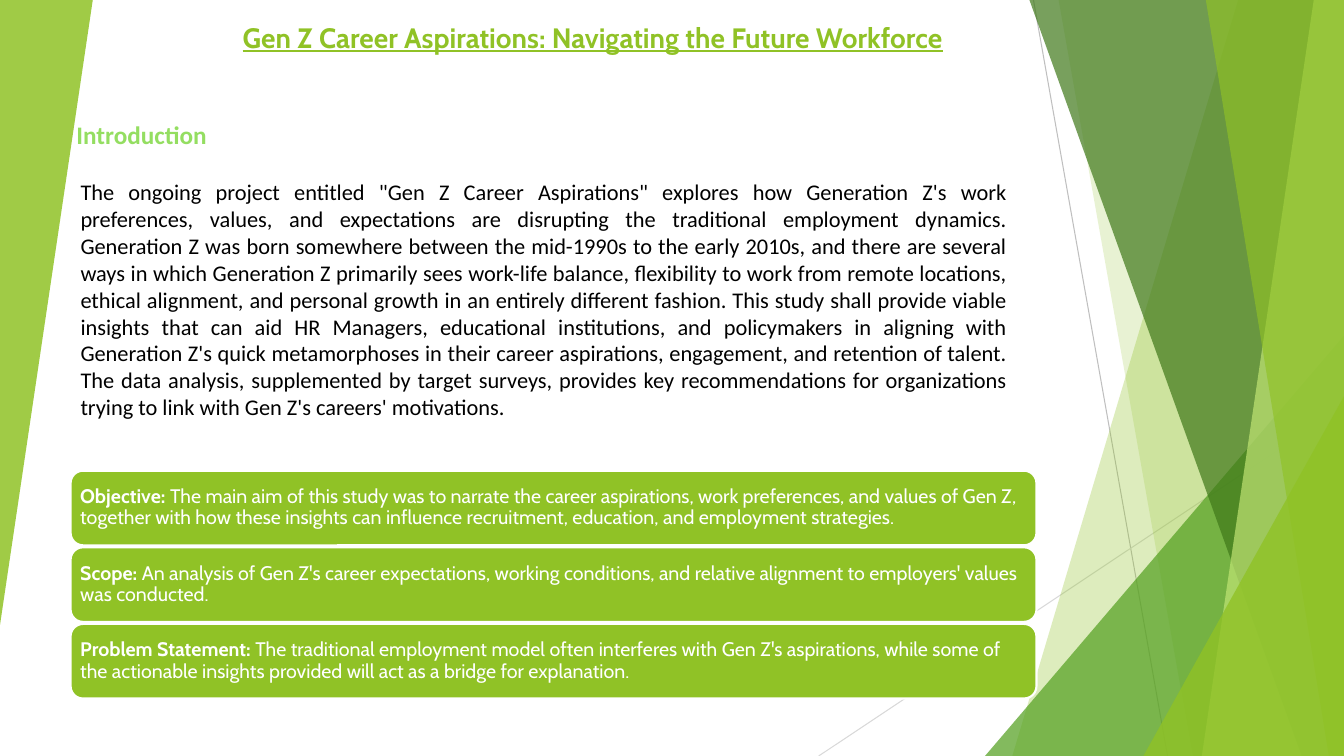
from lxml import etree
from pptx import Presentation
from pptx.dml.color import RGBColor
from pptx.enum.shapes import MSO_CONNECTOR, MSO_SHAPE
from pptx.enum.text import MSO_ANCHOR, MSO_AUTO_SIZE, PP_ALIGN
from pptx.oxml.ns import qn
from pptx.util import Inches, Pt

LINE = MSO_CONNECTOR.STRAIGHT
TRIANGLE, ROUNDED = MSO_SHAPE.ISOSCELES_TRIANGLE, MSO_SHAPE.ROUNDED_RECTANGLE
TOP, MIDDLE = MSO_ANCHOR.TOP, MSO_ANCHOR.MIDDLE
LEFT, RIGHT, JUSTIFY = PP_ALIGN.LEFT, PP_ALIGN.RIGHT, PP_ALIGN.JUSTIFY
FIXED = MSO_AUTO_SIZE.NONE

WHITE = RGBColor(0xFF, 0xFF, 0xFF)
BLACK = RGBColor(0, 0, 0)
LIME = RGBColor(0x90, 0xC2, 0x26)
GREEN = RGBColor(0x54, 0xA0, 0x21)
FOREST = RGBColor(0x3F, 0x78, 0x19)
PALE = RGBColor(0xC0, 0xE4, 0x74)
MINT = RGBColor(0x94, 0xDE, 0x61)
GRAY = RGBColor(0xBF, 0xBF, 0xBF)
SILVER = RGBColor(0xD9, 0xD9, 0xD9)

WIDE, HIGH = 13.33, 7.5


def paint(shape, color, alpha=100):
    shape.shadow.inherit = False
    shape.line.fill.background()
    shape.fill.solid()
    shape.fill.fore_color.rgb = color
    if alpha < 100:
        tint = shape.fill._xPr.find(".//" + qn("a:srgbClr"))
        etree.SubElement(tint, qn("a:alpha"), val=str(alpha * 1000))


def write(shape, runs, align, color, **style):
    frame = shape.text_frame
    frame.word_wrap = True
    frame.auto_size = FIXED
    para = frame.paragraphs[0]
    para.alignment = align
    for text, bold in runs:
        run = para.add_run()
        run.text = text
        run.font.color.rgb = color
        for key, value in {"bold": bold, **style}.items():
            setattr(run.font, key, value)
    return frame


deck = Presentation()
deck.slide_width, deck.slide_height = Inches(WIDE), Inches(HIGH)
slide = deck.slides.add_slide(deck.slide_layouts[5])
shapes = slide.shapes

# Thin lines behind the facets
for x1, y1, x2, y2, color in [
    (10.25, 0, 11.58, HIGH, GRAY),
    (WIDE, 4.03, 8.12, HIGH, SILVER),
]:
    ray = shapes.add_connector(LINE, Inches(x1), Inches(y1), Inches(x2), Inches(y2))
    ray.line.color.rgb = color
    ray.line.width = Pt(0.75)
    etree.SubElement(ray._element.spPr, qn("a:effectLst"))

# Facets from back to front: bands slant from head to foot and reach the right
# edge; triangles have a box and a turn
for form, color, alpha in [
    ((12.28, 10.04), LIME, 30),
    ((10.5, 11.83), LIME, 20),
    ((9.77, 3.33, 3.56, 4.17, 0), GREEN, 72),
    ((10.21, 12.91), FOREST, 70),
    ((13.03, 11.92), PALE, 70),
    ((11.96, 13.18), LIME, 65),
    ((11.34, 3.93, 1.99, 3.57, 0), LIME, 80),
    ((0, 0, 0.92, 6.2, 180), LIME, 85),
]:
    if len(form) == 2:
        head, foot = form
        pen = shapes.build_freeform(Inches(head), Inches(0))
        corners = [(WIDE, 0), (WIDE, HIGH), (foot, HIGH)]
        pen.add_line_segments([(Inches(x), Inches(y)) for x, y in corners])
        facet = pen.convert_to_shape()
    else:
        *box, turn = form
        facet = shapes.add_shape(TRIANGLE, *map(Inches, box))
        facet.adjustments[0] = 1
        facet.rotation = turn
    paint(facet, color, alpha)

# Title
title = shapes.title
title.left, title.top, title.width, title.height = map(Inches, (0.96, 0.06, 8.49, 1.42))
frame = write(title, [("Gen Z Career Aspirations: Navigating the Future Workforce", True)],
              RIGHT, LIME, size=Pt(20), name="Cabin", underline=True)
frame.vertical_anchor = TOP
frame.margin_top = Inches(0.14)

# Introduction, one sentence per item
intro = [
    "The ongoing project entitled \"Gen Z Career Aspirations\" explores how Generation Z's "
    "work preferences, values, and expectations are disrupting the traditional employment "
    "dynamics.",
    "Generation Z was born somewhere between the mid-1990s to the early 2010s, "
    "and there are several ways in which Generation Z primarily sees work-life balance, "
    "flexibility to work from remote locations, ethical alignment, and personal growth in "
    "an entirely different fashion.",
    "This study shall provide viable insights that can aid "
    "HR Managers, educational institutions, and policymakers in aligning with Generation "
    "Z's quick metamorphoses in their career aspirations, engagement, and retention of "
    "talent.",
    "The data analysis, supplemented by target surveys, provides key "
    "recommendations for organizations trying to link with Gen Z's careers' motivations.",
]
for box, text, bold, align, color, size in [
    ((0.66, 1.13, 2.42, 0.71), "Introduction", True, LEFT, MINT, 18),
    ((0.7, 1.72, 9.39, 2.83), " ".join(intro), False, JUSTIFY, BLACK, 16),
]:
    write(shapes.add_textbox(*map(Inches, box)), [(text, bold)], align, color,
          size=Pt(size), name="Calibri")

# Stacked cards
cards = [
    ("Objective: ", "The main aim of this study was to narrate the career aspirations, work "
     "preferences, and values of Gen Z, together with how these insights can influence "
     "recruitment, education, and employment strategies."),
    ("Scope: ", "An analysis of Gen Z's career expectations, working conditions, and relative "
     "alignment to employers' values was conducted."),
    ("Problem Statement: ", "The traditional employment model often interferes with Gen Z's "
     "aspirations, while some of the actionable insights provided will act as a bridge for "
     "explanation."),
]
for row, (label, text) in enumerate(cards):
    card = shapes.add_shape(ROUNDED, Inches(0.7), Inches(4.67 + row * 0.76),
                            Inches(9.58), Inches(0.74))
    paint(card, LIME)
    card.line.color.rgb = WHITE
    card.line.width = Pt(1.5)
    frame = write(card, [(label, True), (text, False)], LEFT, WHITE,
                  size=Pt(14), name="Cabin")
    frame.vertical_anchor = MIDDLE
    frame.paragraphs[0].line_spacing = 0.9
    for side in ("left", "top", "right", "bottom"):
        setattr(frame, "margin_" + side, Inches(0.06))

deck.save("out.pptx")
